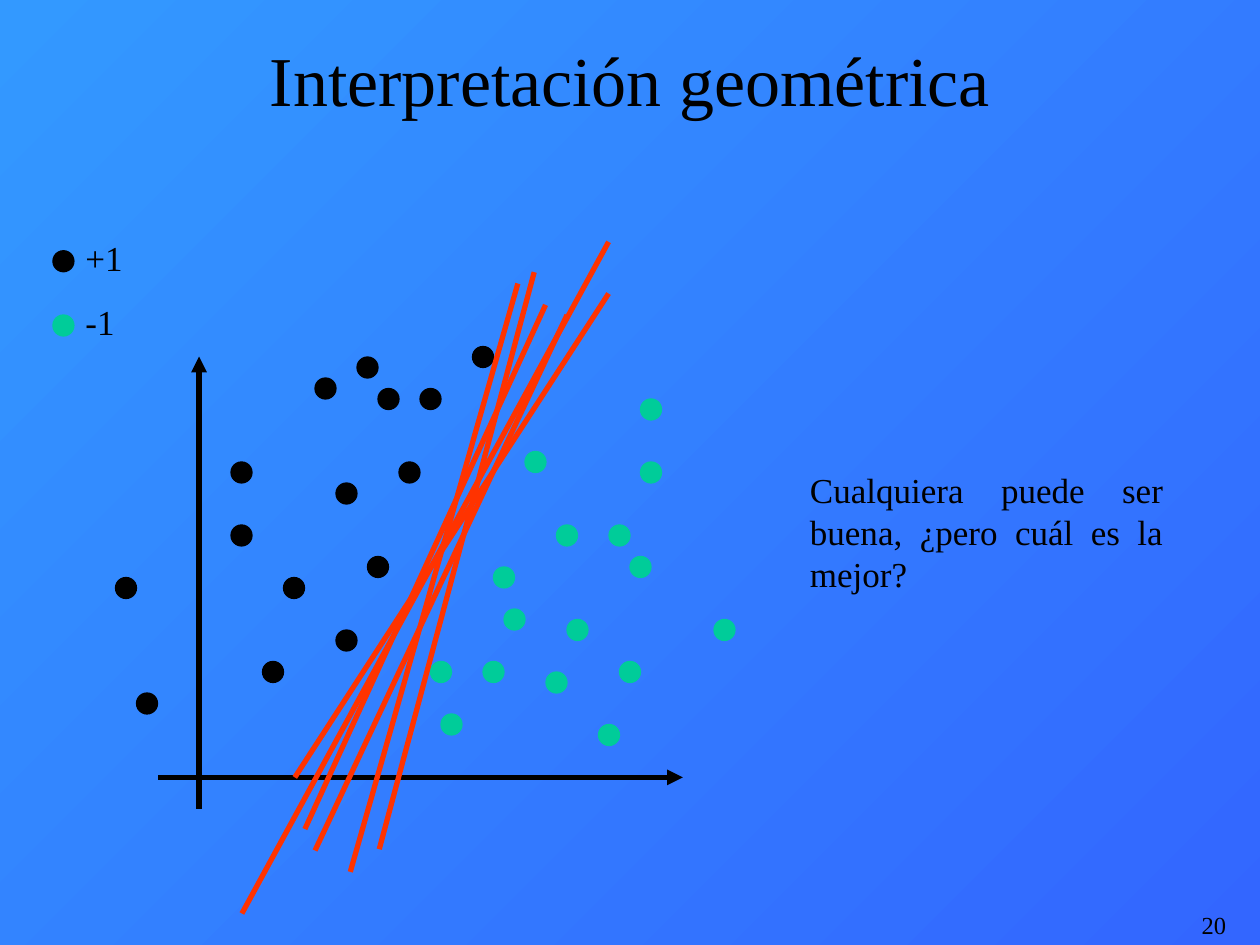
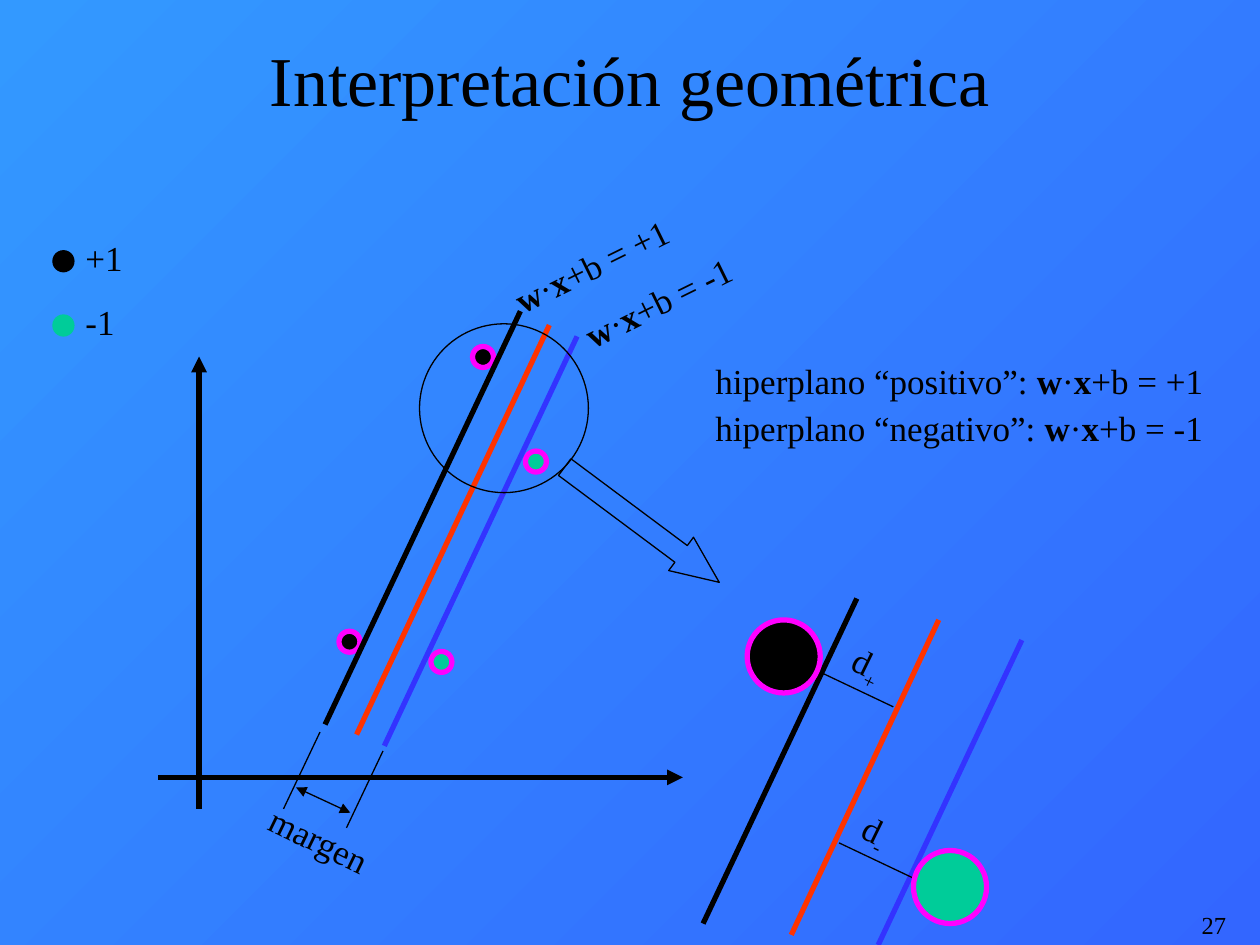
from lxml import etree
from pptx import Presentation
from pptx.dml.color import RGBColor
from pptx.enum.shapes import MSO_CONNECTOR, MSO_SHAPE
from pptx.enum.text import MSO_ANCHOR, MSO_AUTO_SIZE, PP_ALIGN
from pptx.oxml.ns import qn
from pptx.util import Inches, Pt

FONT = "Times New Roman"
BLACK, GREEN, RED, BLUE, PINK = "000000", "00CC99", "FF3300", "3333FF", "FF00FF"
SKY = ["3366FF", "3399FF"]
TITLE = "Interpretación geométrica"
GRID = 12
DOT = 2 / GRID

LEGEND = [("+1", BLACK, 1.99), ("-1", GREEN, 2.5)]
AXES = [(1.58, 2.83, 1.58, 6.42), (5.42, 6.17, 1.25, 6.17)]

POINTS = {
    BLACK: [(11, 55), (36, 37), (38, 44), (22, 44), (25, 63), (32, 60), (35, 53),
            (22, 50), (30, 36), (40, 37), (27, 55), (13, 66), (32, 46), (34, 34),
            (45, 33)],
    GREEN: [(53, 50), (52, 64), (60, 53), (42, 68), (68, 59), (61, 44), (61, 38),
            (54, 59), (59, 63), (57, 69), (58, 50), (41, 63), (50, 43), (48, 58),
            (47, 54), (46, 63)],
}
CUTS = [
    (4.5, 2.5, 2.5, 6.75), (4.24, 2.16, 3.01, 6.74), (4.83, 2.33, 2.34, 6.17),
    (4.11, 2.25, 2.78, 6.92), (4.33, 2.42, 2.42, 6.58), (4.83, 1.92, 1.92, 7.25),
]
ASK = "Cualquiera puede ser buena, ¿pero cuál es la mejor?"

NEAR = [(2.69, 5.01, BLACK), (3.42, 5.17, GREEN), (4.17, 3.58, GREEN), (3.75, 2.75, BLACK)]
FAR = [(7.25, 6.75, GREEN), (5.93, 4.92, BLACK)]
PLANES = [
    (RED, (4.36, 2.58, 2.83, 5.83)), (BLUE, (4.58, 2.67, 3.05, 5.92)),
    (BLACK, (4.13, 2.47, 2.58, 5.75)), (RED, (7.45, 4.92, 6.28, 7.42)),
    (BLUE, (8.11, 5.08, 6.97, 7.5)), (BLACK, (6.8, 4.75, 5.58, 7.33)),
]
THIN = [
    (2.54, 5.81, 2.25, 6.42), (3.04, 5.96, 2.75, 6.57),
    (7.25, 6.97, 6.66, 6.69), (7.09, 5.61, 6.5, 5.33),
]
SPAN = (2.78, 6.45, 2.35, 6.25)


def rule(sign):
    return [("w", "bold"), ("·", ""), ("x", "bold"), (f"+b = {sign}1", "")]


def gap(sign):
    return [("d", ""), (sign, "sub")]


PAIR = [[("hiperplano “positivo”: ", "")] + rule("+"),
        [("hiperplano “negativo”: ", "")] + rule("-")]
TAGS = [
    (rule("-"), (4.49, 2.15, 1.59, 0.44), 333.8),
    (rule("+"), (3.92, 1.82, 1.84, 0.44), 333.8),
    ([("margen", "")], (1.99, 6.57, 1.59, 0.44), 26),
    (gap("-"), (6.74, 6.41, 0.58, 0.48), 26),
    (gap("+"), (6.66, 5.08, 0.58, 0.48), 26),
]


def tint(code):
    return RGBColor.from_string(code)


def place(box):
    return [Inches(n) for n in box]


def style(para, size, align):
    para.alignment = align
    para.font.name = FONT
    para.font.size = Pt(size)
    para.font.color.rgb = tint(BLACK)


def write(slide, paras, box, turn=0, size=20, align=PP_ALIGN.JUSTIFY, space=12.5, lead=None):
    shape = slide.shapes.add_textbox(*place(box))
    shape.rotation = turn
    frame = shape.text_frame
    frame.word_wrap = True
    frame.auto_size = MSO_AUTO_SIZE.SHAPE_TO_FIT_TEXT
    for i, runs in enumerate(paras):
        para = frame.add_paragraph() if i else frame.paragraphs[0]
        style(para, size, align)
        para.space_before = Pt(space)
        if lead:
            para.line_spacing = lead
        for text, mark in runs:
            run = para.add_run()
            run.text = text
            if mark == "bold":
                run.font.bold = True
            elif mark == "sub":
                run._r.get_or_add_rPr().set("baseline", "-25000")


def draw(slide, kind, box, fill, line=BLACK, width=0.75):
    shape = slide.shapes.add_shape(kind, *place(box))
    shape.shadow.inherit = False
    if fill:
        shape.fill.solid()
        shape.fill.fore_color.rgb = tint(fill)
    else:
        shape.fill.background()
    shape.line.color.rgb = tint(line)
    shape.line.width = Pt(width)
    return shape


def dot(slide, x, y, fill, line=None, width=0.75, size=DOT):
    draw(slide, MSO_SHAPE.OVAL, (x, y, size, size), fill, line or fill, width)


def join(slide, ends, color=BLACK, width=3.0, heads=()):
    link = slide.shapes.add_connector(MSO_CONNECTOR.STRAIGHT, *place(ends))
    link.line.color.rgb = tint(color)
    link.line.width = Pt(width)
    for head in heads:
        etree.SubElement(link.line._get_or_add_ln(), qn(f"a:{head}")).set("type", "triangle")
    etree.SubElement(link._element.spPr, qn("a:effectLst"))


def start(deck, number):
    slide = deck.slides.add_slide(deck.slide_layouts[5])
    title = slide.shapes.title
    title.left, title.top, title.width, title.height = place((0.75, 0, 8.5, 1.25))
    title.text_frame.text = TITLE
    title.text_frame.vertical_anchor = MSO_ANCHOR.MIDDLE
    style(title.text_frame.paragraphs[0], 40, PP_ALIGN.CENTER)
    for ends in AXES:
        join(slide, ends, heads=["headEnd"])
    for _, color, y in LEGEND:
        dot(slide, 0.42, y, color)
    write(slide, [[(name, "")] for name, _, _ in LEGEND], (0.58, 1.83, 0.5, 0.94))
    write(slide, [[(number, "")]], (7.75, 7.17, 2.08, 0.5),
          size=14, align=PP_ALIGN.RIGHT, space=0)
    return slide


def cloud(deck):
    slide = start(deck, "20")
    write(slide, [[(ASK, "")]], (6.33, 3.67, 3, 1.1))
    for color, spots in POINTS.items():
        for x, y in spots:
            dot(slide, x / GRID, y / GRID, color)
    for ends in CUTS:
        join(slide, ends, RED)


def margin(deck):
    slide = start(deck, "27")
    write(slide, PAIR, (5.58, 2.92, 4.25, 0.68), lead=0.6)
    for x, y, color in NEAR:
        dot(slide, x, y, color, PINK, 3)
    for color, ends in PLANES:
        join(slide, ends, color)
    for ends in THIN:
        join(slide, ends, width=0.75)
    join(slide, SPAN, width=0.75, heads=["headEnd", "tailEnd"])
    for runs, box, turn in TAGS:
        write(slide, [runs], box, turn)
    arrow = draw(slide, MSO_SHAPE.RIGHT_ARROW, (4.33, 4, 1.53, 0.33), None)
    arrow.rotation = 36.7
    arrow.adjustments[1] = 1.144
    draw(slide, MSO_SHAPE.OVAL, (3.33, 2.57, 1.34, 1.34), None)
    for x, y, color in FAR:
        dot(slide, x, y, color, PINK, 3, 0.58)


def main():
    deck = Presentation()
    deck.slide_width, deck.slide_height = place((10, 7.5))
    fill = deck.slide_master.background.fill
    fill.gradient()
    fill.gradient_angle = 135
    for stop, code, spot in zip(fill.gradient_stops, SKY, (0, 1)):
        stop.color.rgb = tint(code)
        stop.position = spot
    cloud(deck)
    margin(deck)
    deck.save("out.pptx")


if __name__ == "__main__":
    main()
